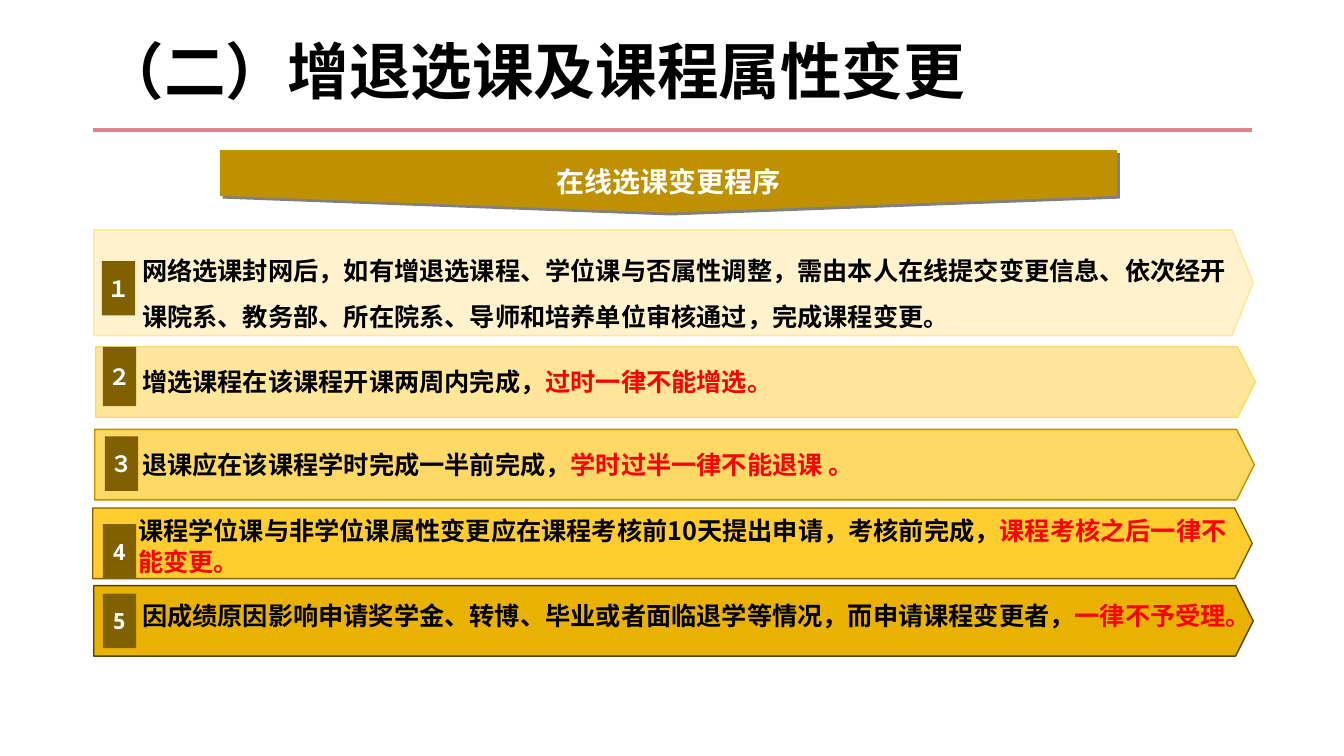
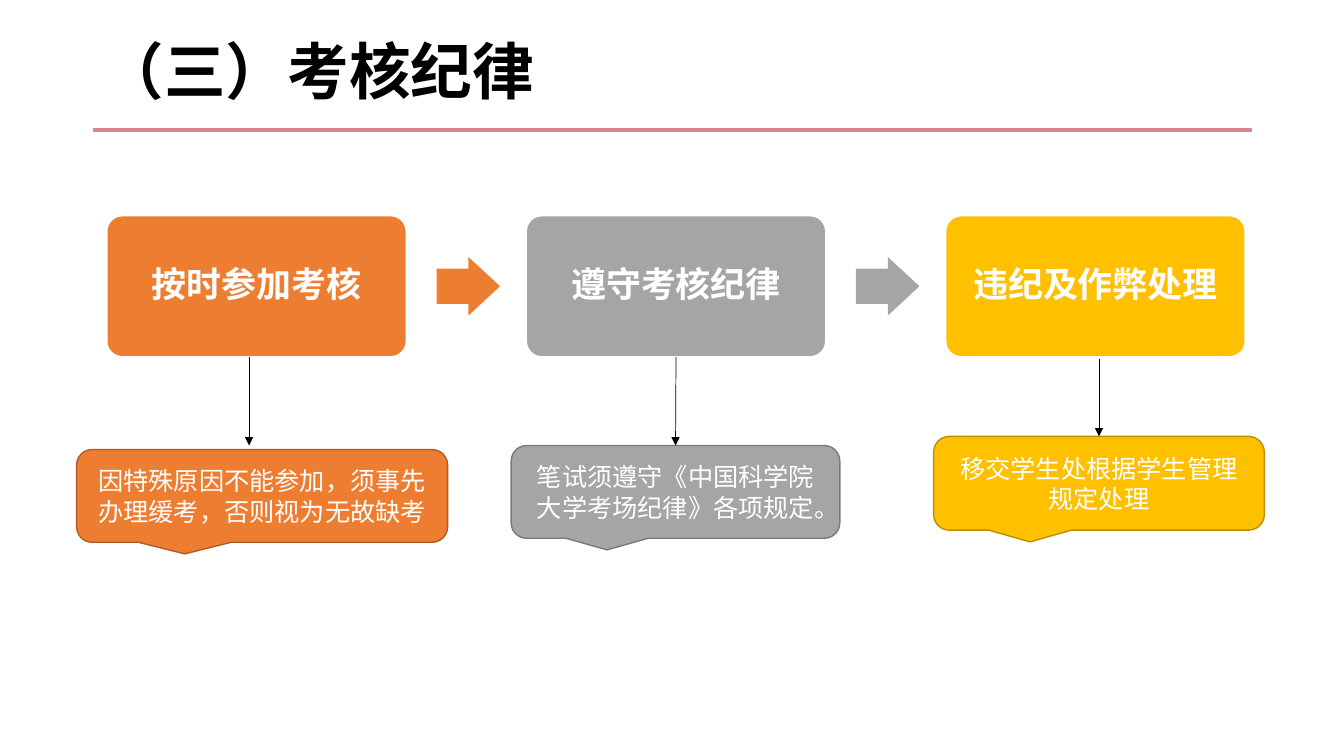
"""Build two slides on course changes and examination discipline."""
from lxml.etree import SubElement
from pptx import Presentation
from pptx.dml.color import RGBColor
from pptx.enum.shapes import MSO_CONNECTOR, MSO_SHAPE
from pptx.enum.text import MSO_ANCHOR, MSO_AUTO_SIZE, PP_ALIGN
from pptx.oxml import parse_xml
from pptx.oxml.ns import nsdecls, qn
from pptx.util import Inches, Pt

COLORS = {
    "black": "000000", "white": "FFFFFF", "red": "FF0000", "rule": "D9868C",
    "banner": "BF9000", "badge": "806000", "shadow": "808080",
    "orange": "ED7D31", "orange_edge": "AF5C24",
    "gray": "A5A5A5", "gray_edge": "7A7A7A",
    "gold": "FFC000", "gold_edge": "BD8E00",
    "step1": "FFF2CC", "step2": "FFE699", "step3": "FFD966",
    "step4": "FFCD2F", "step5": "EAB200", "step5_edge": "584300",
}
CJK = "Noto Sans CJK SC"


def add_block(slide, kind, box, fill, edge=None, adjustments=()):
    shape = slide.shapes.add_shape(kind, *map(Inches, box))
    shape.shadow.inherit = False
    shape.fill.solid()
    shape.fill.fore_color.rgb = RGBColor.from_string(COLORS[fill])
    if edge:
        shape.line.color.rgb = RGBColor.from_string(COLORS[edge])
        shape.line.width = Pt(1)
    else:
        shape.line.fill.background()
    for index, value in enumerate(adjustments):
        shape.adjustments[index] = value
    return shape


def write(shape, runs, size, font, bold=True, align=PP_ALIGN.CENTER, margins=(0, 0), spacing=1.0):
    frame = shape.text_frame
    frame.word_wrap = True
    frame.vertical_anchor = MSO_ANCHOR.MIDDLE
    frame.margin_left = frame.margin_right = Inches(margins[0])
    frame.margin_top = frame.margin_bottom = Inches(margins[1])
    paragraph = frame.paragraphs[0]
    paragraph.alignment = align
    paragraph.line_spacing = spacing
    for text, color in runs:
        run = paragraph.add_run()
        run.text = text
        run.font.size = Pt(size)
        run.font.bold = bold
        run.font.name = font
        run.font.color.rgb = RGBColor.from_string(COLORS[color])
        SubElement(run.font._element, qn("a:ea"), typeface=CJK)


presentation = Presentation()
presentation.slide_width = Inches(13.33)
presentation.slide_height = Inches(7.5)

slides = []
for title in ("（二）增退选课及课程属性变更", "（三）考核纪律"):
    slide = presentation.slides.add_slide(presentation.slide_layouts[6])
    rule = slide.shapes.add_connector(
        MSO_CONNECTOR.STRAIGHT, Inches(0.92), Inches(1.29), Inches(12.42), Inches(1.29))
    rule.line.color.rgb = RGBColor.from_string(COLORS["rule"])
    rule.line.width = Pt(3)
    SubElement(rule._element.spPr, qn("a:effectLst"))
    title_box = slide.shapes.add_textbox(Inches(0.92), Inches(0.19), Inches(11.5), Inches(1.1))
    write(title_box, [(title, "black")], 44, "Arial",
          align=PP_ALIGN.LEFT, margins=(0.1, 0.05), spacing=0.9)
    slides.append(slide)
change_slide, discipline_slide = slides

banner = add_block(change_slide, MSO_SHAPE.PENTAGON, (6.32, -2.65, 0.62, 8.9), "banner",
                   adjustments=[0.27])
banner.rotation = 90
banner_properties = banner._element.spPr
banner_properties.remove(banner_properties.find(qn("a:effectLst")))
banner_properties.append(parse_xml(
    f'<a:effectLst {nsdecls("a")}><a:outerShdw dist="35560" dir="2700000" algn="ctr" rotWithShape="0">'
    f'<a:srgbClr val="{COLORS["shadow"]}"/></a:outerShdw></a:effectLst>'))
banner_text = change_slide.shapes.add_textbox(Inches(5.37), Inches(1.63), Inches(2.52), Inches(0.34))
write(banner_text, [("在线选课变更程序", "white")], 20, CJK)

steps = [
    ("１", "Calibri", (0.93, 2.28, 11.5, 1.05), 0.2, "step1", "step2", (1.01, 2.59, 0.33, 0.54),
     (1.41, 2.41, 10.91, 0.85), 1.5,
     "网络选课封网后，如有增退选课程、学位课与否属性调整，需由本人在线提交变更信息、"
     "依次经开课院系、教务部、所在院系、导师和培养单位审核通过，完成课程变更。", ""),
    ("２", "Calibri", (0.95, 3.44, 11.5, 0.7), 0.25, "step2", "step3", (1.02, 3.44, 0.33, 0.59),
     (1.41, 3.63, 9.89, 0.3), 1.0,
     "增选课程在该课程开课两周内完成，", "过时一律不能增选。"),
    ("３", "Calibri", (0.94, 4.26, 11.5, 0.7), 0.25, "step3", "banner", (1.04, 4.33, 0.33, 0.54),
     (1.41, 4.46, 7.82, 0.3), 1.0,
     "退课应在该课程学时完成一半前完成，", "学时过半一律不能退课 。"),
    ("4", "Noto Sans Mono", (0.92, 5.04, 11.5, 0.7), 0.25, "step4", "badge", (1.02, 5.2, 0.33, 0.54),
     (1.37, 5.11, 10.88, 0.61), 1.0,
     "课程学位课与非学位课属性变更应在课程考核前10天提出申请，考核前完成，",
     "课程考核之后一律不能变更。"),
    ("5", "Noto Sans Mono", (0.93, 5.81, 11.5, 0.7), 0.25, "step5", "step5_edge", (1.02, 5.89, 0.33, 0.54),
     (1.41, 5.96, 10.87, 0.3), 1.0,
     "因成绩原因影响申请奖学金、转博、毕业或者面临退学等情况，而申请课程变更者，",
     "一律不予受理。"),
]
for (number, number_font, arrow_box, point, fill, edge, badge_box,
     text_box, spacing, statement, warning) in steps:
    add_block(change_slide, MSO_SHAPE.PENTAGON, arrow_box, fill, edge, [point])
    badge = add_block(change_slide, MSO_SHAPE.RECTANGLE, badge_box, "badge")
    write(badge, [(number, "white")], 16, number_font)
    step_text = change_slide.shapes.add_textbox(*map(Inches, text_box))
    runs = [(statement, "black")]
    if warning:
        runs.append((warning, "red"))
    write(step_text, runs, 18, CJK, align=PP_ALIGN.LEFT, spacing=spacing)
    step_text.text_frame.auto_size = MSO_AUTO_SIZE.SHAPE_TO_FIT_TEXT

stages = [
    ("按时参加考核", "orange", (0.76, 4.46, 3.68, 0.92),
     "因特殊原因不能参加，须事先办理缓考，否则视为无故缺考", (2.47, 3.54, 4.42), False, False),
    ("遵守考核纪律", "gray", (5.07, 4.42, 3.26, 0.92),
     "笔试须遵守《中国科学院大学考场纪律》各项规定。", (6.7, 3.54, 4.42), True, True),
    ("违纪及作弊处理", "gold", (9.26, 4.33, 3.28, 0.93),
     "移交学生处根据学生管理规定处理", (10.9, 3.56, 4.33), False, True),
]
for index, (heading, color, callout_box, detail, arrow, join_start, join_end) in enumerate(stages):
    left = 1.06 + 4.16 * index
    stage = add_block(discipline_slide, MSO_SHAPE.ROUNDED_RECTANGLE, (left, 2.14, 2.97, 1.4),
                      color, "white", [0.11])
    write(stage, [(heading, "white")], 25, "Arial", margins=(0.15, 0.15), spacing=0.9)
    if index < len(stages) - 1:
        add_block(discipline_slide, MSO_SHAPE.RIGHT_ARROW, (left + 3.27, 2.55, 0.63, 0.58),
                  color, adjustments=[0.6, 0.54])
    callout = add_block(discipline_slide, MSO_SHAPE.ROUNDED_RECTANGULAR_CALLOUT, callout_box,
                        color, f"{color}_edge")
    write(callout, [(detail, "white")], 18, "Arial", bold=False, margins=(0.1, 0.05))
    x, top, bottom = map(Inches, arrow)
    connector = discipline_slide.shapes.add_connector(MSO_CONNECTOR.STRAIGHT, x, top, x, bottom)
    if join_start:
        connector.begin_connect(stage, 2)
    if join_end:
        connector.end_connect(callout, 0)
    connector.line.color.rgb = RGBColor.from_string(COLORS["black"])
    connector.line.width = Pt(0.5)
    SubElement(connector.line._get_or_add_ln(), qn("a:tailEnd"), type="triangle")
    SubElement(connector._element.spPr, qn("a:effectLst"))

presentation.save("out.pptx")
